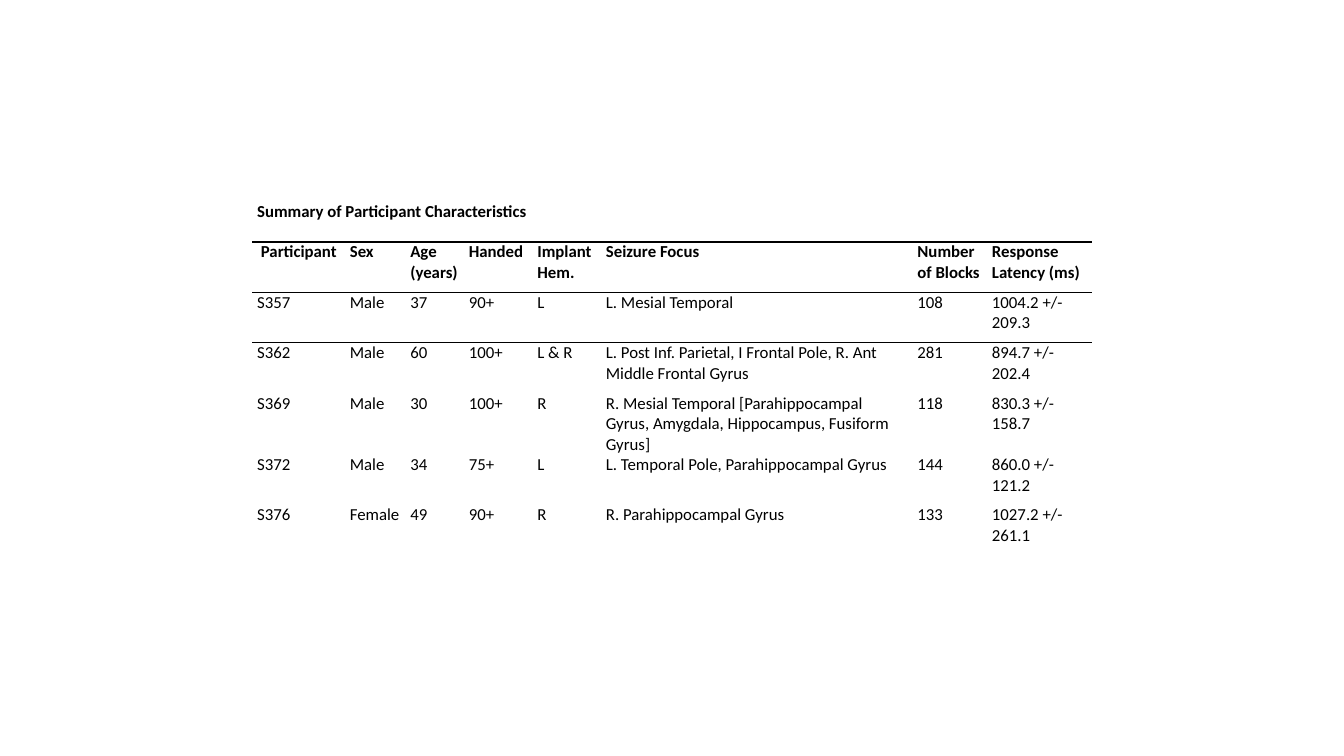
from lxml.etree import SubElement
from pptx import Presentation
from pptx.dml.color import RGBColor
from pptx.oxml.ns import qn
from pptx.util import Inches, Pt

TITLE = "Summary of Participant Characteristics"
HEADINGS = (" Participant", "Sex", "Age (years)", "Handed", "Implant Hem.",
            "Seizure Focus", "Number of Blocks", "Response Latency (ms)")
PARTICIPANTS = [
    ("S357", "Male", "37", "90+", "L", "L. Mesial Temporal",
     "108", "1004.2 +/- 209.3"),
    ("S362", "Male", "60", "100+", "L & R",
     "L. Post Inf. Parietal, I Frontal Pole, R. Ant Middle Frontal Gyrus",
     "281", "894.7 +/- 202.4"),
    ("S369", "Male", "30", "100+", "R",
     "R. Mesial Temporal [Parahippocampal Gyrus, Amygdala, Hippocampus, Fusiform Gyrus]",
     "118", "830.3 +/- 158.7"),
    ("S372", "Male", "34", "75+", "L", "L. Temporal Pole, Parahippocampal Gyrus",
     "144", "860.0 +/- 121.2"),
    ("S376", "Female", "49", "90+", "R", "R. Parahippocampal Gyrus",
     "133", "1027.2 +/- 261.1"),
]
COLUMN_WIDTHS = (0.92, 0.6, 0.58, 0.68, 0.68, 3.09, 0.72, 1.06)
TITLE_HEIGHT, ROW_HEIGHT = 0.4, 0.5
COLORS = {"ink": "000000"}
FONT = "Calibri"
PLAIN_STYLE = "{2D5ABB26-0587-4C30-8999-92F81FD0307C}"
# Rules lie above and below the heading row, shared with its neighbours.
RULED_SIDES = {0: ("lnB",), 1: ("lnT", "lnB"), 2: ("lnT",)}


def write_cell(cell, text, bold=False, size=12, side_inset=0.05, color="ink"):
    cell.margin_left = cell.margin_right = Inches(side_inset)
    cell.margin_top = cell.margin_bottom = 0
    paragraph = cell.text_frame.paragraphs[0]
    font = paragraph.font
    if text:
        run = paragraph.add_run()
        run.text = text
        font = run.font
    font.name, font.size, font.bold = FONT, Pt(size), bold
    font.color.rgb = RGBColor.from_string(COLORS[color])


def rule_cell(cell, sides, color="ink"):
    properties = cell._tc.get_or_add_tcPr()
    for side in sides:
        line = SubElement(properties, qn(f"a:{side}"), w=str(Pt(1)))
        fill = SubElement(line, qn("a:solidFill"))
        SubElement(fill, qn("a:srgbClr"), val=COLORS[color])


prs = Presentation()
prs.slide_width, prs.slide_height = Inches(13.33), Inches(7.5)
slide = prs.slides.add_slide(prs.slide_layouts[6])

title_row = (TITLE,) + ("",) * (len(HEADINGS) - 1)
rows = [title_row, HEADINGS, *PARTICIPANTS]
heights = [TITLE_HEIGHT] + [ROW_HEIGHT] * (len(rows) - 1)
summary = slide.shapes.add_table(
    len(rows), len(HEADINGS), Inches(2.5), Inches(2),
    Inches(sum(COLUMN_WIDTHS)), Inches(sum(heights))).table
summary.first_row = summary.horz_banding = False
summary._tbl.tblPr.find(qn("a:tableStyleId")).text = PLAIN_STYLE

for column, width in zip(summary.columns, COLUMN_WIDTHS):
    column.width = Inches(width)
for row, height in zip(summary.rows, heights):
    row.height = Inches(height)

last_column = len(HEADINGS) - 1
for r, values in enumerate(rows):
    for c, value in enumerate(values):
        cell = summary.cell(r, c)
        write_cell(cell, value, bold=r < 2,
                   side_inset=0.07 if r and c == last_column else 0.05)
        rule_cell(cell, RULED_SIDES.get(r, ()))
        cell.fill.background()
summary.cell(0, 0).merge(summary.cell(0, last_column))

prs.save("out.pptx")
